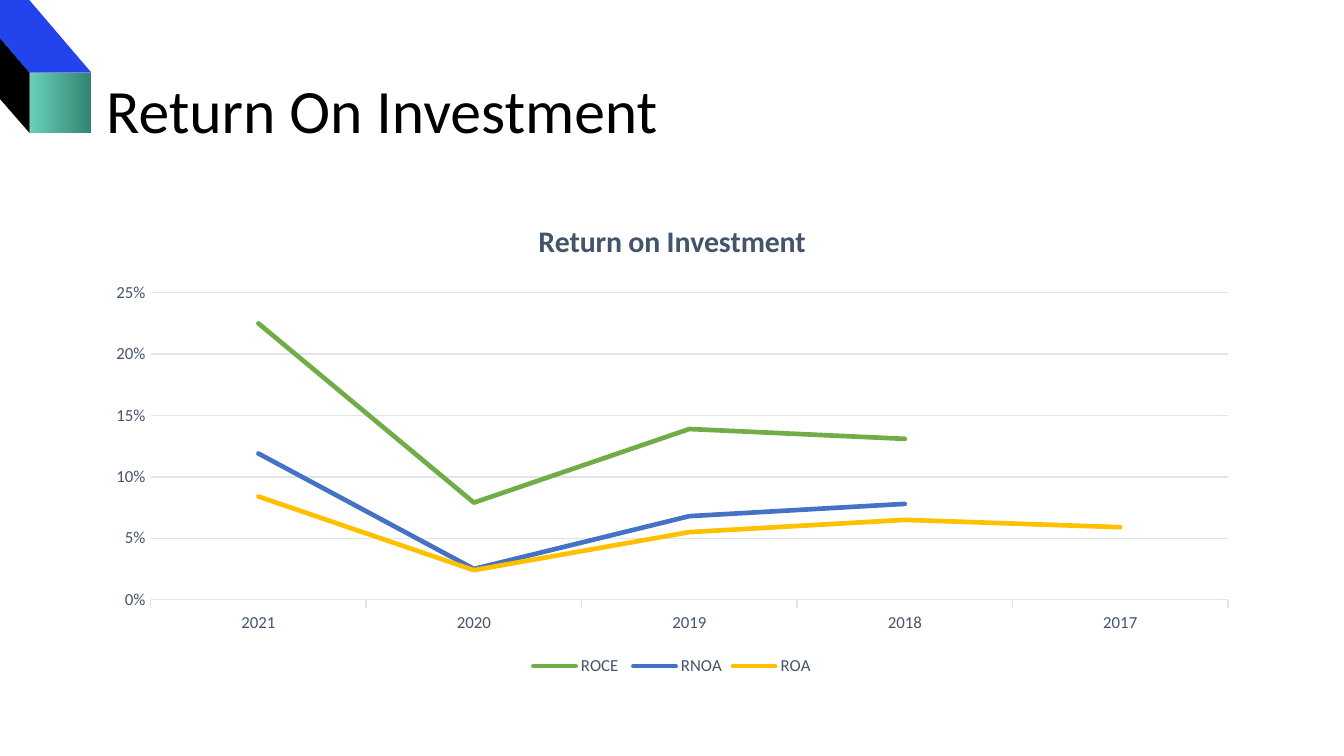
"""Build a return on investment slide with a corner ornament and a line chart."""
from lxml import etree
from pptx import Presentation, util as u
from pptx.chart import data
from pptx.dml import color
from pptx.enum import chart as ce, text
from pptx.oxml import ns

THEME = {
    "face": "Calibri", "title": 33, "heading": 16, "label": 9,
    "black": "000000", "slate": "44546A", "grid": "E0E5EB",
    "blue": "2344EC", "mint": "69D0B9", "teal": "328472",
    "lines": ["70AD47", "4472C4", "FFC000"],
}
CATEGORIES = ["2021", "2020", "2019", "2018", "2017"]
RETURNS = {
    "ROCE ": [0.225, 0.079, 0.139, 0.131, None],
    "RNOA": [0.119, 0.025, 0.068, 0.078, None],
    "ROA": [0.084, 0.024, 0.055, 0.065, 0.059],
}


def format_font(font, size, tone, bold=False):
    for name, value in {"name": THEME["face"], "size": u.Pt(size), "bold": bold}.items():
        setattr(font, name, value)
    font.color.rgb = color.RGBColor.from_string(THEME[tone])


def place_in_chart(element, index, shares):
    for old in element.findall(ns.qn("c:layout")):
        element.remove(old)
    layout = etree.Element(ns.qn("c:layout"))
    manual = etree.SubElement(layout, ns.qn("c:manualLayout"))
    for tag, value in shares.items():
        etree.SubElement(manual, ns.qn(f"c:{tag}")).set("val", str(value))
    element.insert(index, layout)


presentation = Presentation()
presentation.slide_width = u.Inches(10)
presentation.slide_height = presentation.slide_width * 9 // 16
slide = presentation.slides.add_slide(presentation.slide_layouts[5])
left, width = u.Inches(0.69), u.Inches(8.62)

outer, inner, slant, edge = -0.25, 0.22, 0.21, 0.68
top, middle, low, bottom = -0.01, 0.54, 0.45, 0.99
faces = {
    "mint": [(inner, middle), (edge, middle), (edge, bottom), (inner, bottom)],
    "black": [(outer, top), (inner, middle), (inner, bottom), (outer, low)],
    "blue": [(slant, top), (edge, middle), (inner, middle), (outer, top)],
}
for tone, corners in faces.items():
    points = [(u.Inches(x), u.Inches(y)) for x, y in corners]
    builder = slide.shapes.build_freeform(*points[0])
    builder.add_line_segments(points[1:], close=True)
    shape = builder.convert_to_shape()
    shape.shadow.inherit = False
    shape.line.fill.background()
    if tone == "mint":
        shape.fill.gradient()
        shape.fill.gradient_angle = 0
        for stop, shade in zip(shape.fill.gradient_stops, ("mint", "teal")):
            stop.color.rgb = color.RGBColor.from_string(THEME[shade])
    else:
        shape.fill.solid()
        shape.fill.fore_color.rgb = color.RGBColor.from_string(THEME[tone])

title = slide.shapes.title
title_box = {"left": left, "top": u.Inches(0.3), "width": width, "height": u.Inches(1.09)}
for name, value in title_box.items():
    setattr(title, name, value)
title.text_frame.text = "Return On Investment"
title.text_frame.auto_size = text.MSO_AUTO_SIZE.NONE
title.text_frame.vertical_anchor = text.MSO_ANCHOR.MIDDLE
paragraph = title.text_frame.paragraphs[0]
paragraph.alignment, paragraph.line_spacing = text.PP_ALIGN.LEFT, 0.9
format_font(paragraph.runs[0].font, THEME["title"], "black")

chart_data = data.CategoryChartData(number_format="0%")
chart_data.categories = CATEGORIES
for name, values in RETURNS.items():
    chart_data.add_series(name, values)
chart = slide.shapes.add_chart(
    ce.XL_CHART_TYPE.LINE, left, u.Inches(1.5), width, u.Inches(3.57), chart_data).chart
format_font(chart.font, THEME["label"], "slate")

heading = chart.chart_title
heading.text_frame.text = "Return on Investment"
format_font(heading.text_frame.paragraphs[0].runs[0].font, THEME["heading"], "slate", True)
place_in_chart(heading._element, 1, {"xMode": "edge", "yMode": "edge", "x": 0.38, "y": 0.03})
place_in_chart(chart._chartSpace.chart.plotArea, 0, {
    "layoutTarget": "inner", "xMode": "edge", "yMode": "edge",
    "x": 0.05, "y": 0.19, "w": 0.93, "h": 0.64})

chart.has_legend = True
chart.legend.position = ce.XL_LEGEND_POSITION.BOTTOM
chart.legend.include_in_layout = False
format_font(chart.legend.font, THEME["label"], "slate")

category_axis, value_axis = chart.category_axis, chart.value_axis
for axis, tick in ((category_axis, "OUTSIDE"), (value_axis, "NONE")):
    axis.major_tick_mark = ce.XL_TICK_MARK[tick]
    axis.minor_tick_mark = ce.XL_TICK_MARK.NONE
    format_font(axis.tick_labels.font, THEME["label"], "slate")
scale = {"minimum_scale": 0, "maximum_scale": 0.25, "major_unit": 0.05, "has_major_gridlines": True}
for name, value in scale.items():
    setattr(value_axis, name, value)
value_axis.tick_labels.number_format = "0%"
value_axis.tick_labels.number_format_is_linked = False
value_axis.format.line.fill.background()
for line in (category_axis.format.line, value_axis.major_gridlines.format.line):
    line.width = u.Pt(0.75)
    line.color.rgb = color.RGBColor.from_string(THEME["grid"])

for series, shade in zip(chart.plots[0].series, THEME["lines"]):
    series.smooth = False
    series.format.line.width = u.Pt(2.5)
    series.format.line.color.rgb = color.RGBColor.from_string(shade)
    series._element.xpath("c:spPr/a:ln")[0].set("cap", "rnd")

presentation.save("out.pptx")
